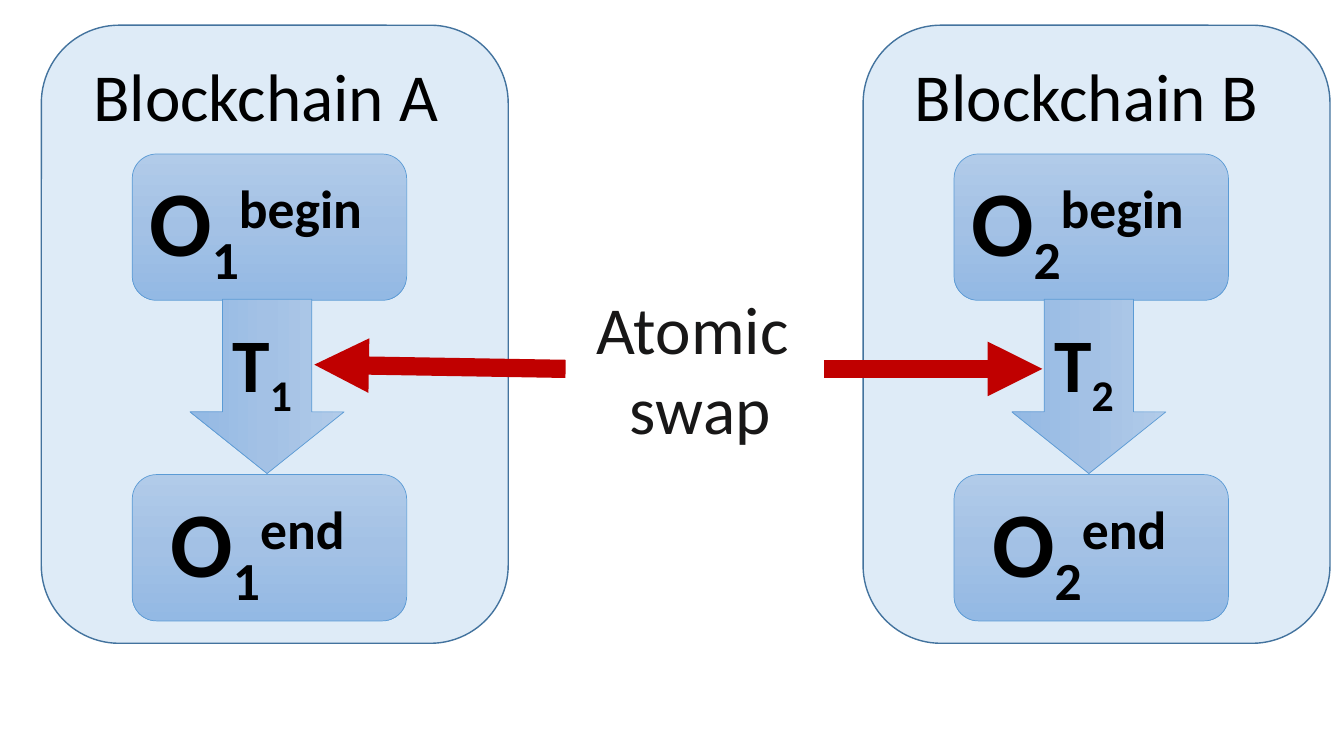
"""Build a slide showing an atomic swap between two blockchains."""
from copy import deepcopy

from lxml import etree
from pptx import Presentation
from pptx import util as u
from pptx.dml.color import RGBColor
from pptx.enum import shapes, text
from pptx.oxml.ns import qn

PANEL_FILL = RGBColor(0xDE, 0xEB, 0xF7)
PANEL_LINE = RGBColor(0x43, 0x73, 0x9E)
GRADIENT = [RGBColor(0xB1, 0xCB, 0xE9), RGBColor(0xA3, 0xC1, 0xE5), RGBColor(0x93, 0xB9, 0xE4)]
BLUE = RGBColor(0x5B, 0x9B, 0xD5)
RED = RGBColor(0xC0, 0x00, 0x00)
BLACK = RGBColor(0, 0, 0)
DARK = RGBColor(0x18, 0x17, 0x17)
SUB, SUP = -25000, 30000

prs = Presentation()
prs.slide_width, prs.slide_height = u.Pt(960), u.Pt(540)
s = prs.slides.add_slide(prs.slide_layouts[6])


def add_runs(sp, runs, size, color=BLACK, bold=False, align=text.PP_ALIGN.LEFT):
    """Write (wording, baseline) runs into the first paragraph of a shape."""
    tf = sp.text_frame
    tf.word_wrap = True
    p = tf.paragraphs[0]
    p.alignment = align
    for i, (wording, baseline) in enumerate(runs):
        if wording == "\n":
            p.add_line_break()
            continue
        r = p.add_run()
        r.text = wording
        r.font.name, r.font.size, r.font.bold = "Calibri", u.Pt(size), bold
        r.font.color.rgb = color
        if baseline:
            r._r.get_or_add_rPr().set("baseline", str(baseline))


def add_block(kind, left, top, width, height):
    """Add a preset shape with the blue gradient and thin outline."""
    sp = s.shapes.add_shape(kind, u.Pt(left), u.Pt(top), u.Pt(width), u.Pt(height))
    sp.shadow.inherit = False
    sp.fill.gradient()
    sp.fill.gradient_angle = 270
    stops = sp._element.spPr.find(qn("a:gradFill")).find(qn("a:gsLst"))
    stops.insert(1, deepcopy(stops[0]))
    for i, (stop, color) in enumerate(zip(sp.fill.gradient_stops, GRADIENT)):
        stop.position, stop.color.rgb = i / 2, color
    sp.line.color.rgb, sp.line.width = BLUE, u.Pt(0.5)
    return sp


for x, chain, number in [(29.5, "A", "1"), (616.5, "B", "2")]:
    panel = s.shapes.add_shape(shapes.MSO_SHAPE.ROUNDED_RECTANGLE,
                               u.Pt(x), u.Pt(18), u.Pt(333.5), u.Pt(441.5))
    panel.shadow.inherit = False
    panel.fill.solid()
    panel.fill.fore_color.rgb = PANEL_FILL
    panel.line.color.rgb, panel.line.width = PANEL_LINE, u.Pt(1)

    heading = s.shapes.add_textbox(u.Pt(x + 30), u.Pt(35), u.Pt(296.5), u.Pt(65.5))
    add_runs(heading, [("Blockchain " + chain, 0)], 48)

    for top, state, inset in [(110, "begin", 7.2), (339, "end", 22.2)]:
        box = add_block(shapes.MSO_SHAPE.ROUNDED_RECTANGLE, x + 65, top, 196, 104.5)
        box.text_frame.margin_left = u.Pt(inset)
        box.text_frame.vertical_anchor = text.MSO_ANCHOR.MIDDLE
        add_runs(box, [("O", 0), (number, SUB), (state, SUP)], 66, bold=True)

    arrow = add_block(shapes.MSO_SHAPE.RIGHT_ARROW, x + 99, 221, 124.5, 110)
    arrow.rotation = 90
    arrow.adjustments[0], arrow.adjustments[1] = 0.58, 0.4

    transition = s.shapes.add_textbox(u.Pt(x + 129.5), u.Pt(223), u.Pt(73.5), u.Pt(145.5))
    add_runs(transition, [("T", 0), (number, SUB)], 54, bold=True)

swap = s.shapes.add_textbox(u.Pt(327.5), u.Pt(201.5), u.Pt(345.5), u.Pt(124))
add_runs(swap, [("Atomic ", 0), ("\n", 0), ("swap", 0)], 48, DARK, align=text.PP_ALIGN.CENTER)

for x1, x2, y2 in [(588.5, 744.5, 263.5), (404, 224.5, 260.5)]:
    link = s.shapes.add_connector(shapes.MSO_CONNECTOR.STRAIGHT,
                                  u.Pt(x1), u.Pt(263.5), u.Pt(x2), u.Pt(y2))
    link.line.color.rgb, link.line.width = RED, u.Pt(13)
    etree.SubElement(link.line._get_or_add_ln(), qn("a:tailEnd"), type="triangle")
    etree.SubElement(link._element.spPr, qn("a:effectLst"))

prs.save("out.pptx")
